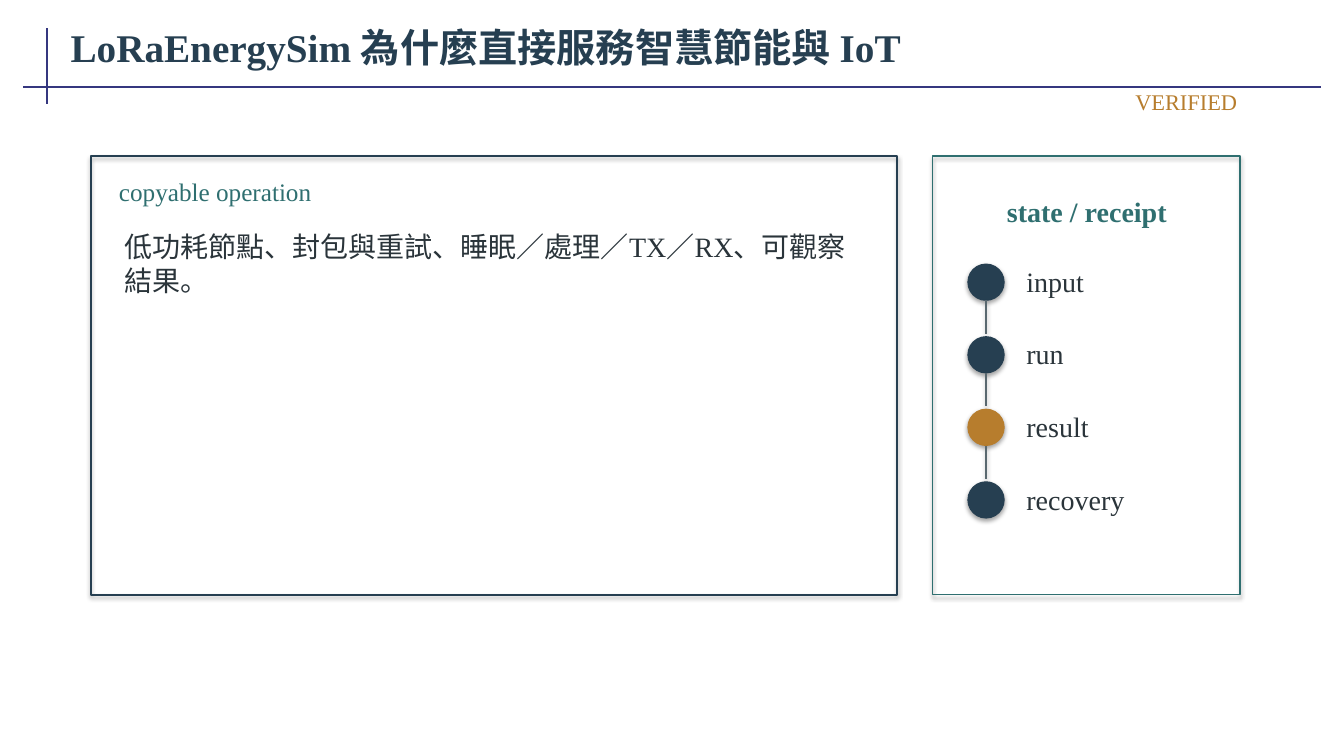
from pptx import Presentation
from pptx import util as u
from pptx.dml.color import RGBColor
from pptx.enum import shapes, text
from pptx.oxml.ns import qn
from lxml import etree

NAVY = RGBColor(0x26, 0x3F, 0x51)
TEAL = RGBColor(0x2F, 0x6F, 0x70)
GOLD = RGBColor(0xB7, 0x7D, 0x2D)
INK = RGBColor(0x2A, 0x34, 0x3A)
GRAY = RGBColor(0x59, 0x68, 0x6F)
INDIGO = RGBColor(0x35, 0x37, 0x7F)
PX = 9144
LEFT, MID, RIGHT = text.PP_ALIGN.LEFT, text.PP_ALIGN.CENTER, text.PP_ALIGN.RIGHT
GROW, FIXED = text.MSO_AUTO_SIZE.SHAPE_TO_FIT_TEXT, text.MSO_AUTO_SIZE.NONE

deck = Presentation()
deck.slide_width, deck.slide_height = 1333 * PX, 750 * PX
slide = deck.slides.add_slide(deck.slide_layouts[6])


def write(words, area, size, color, bold=False, align=LEFT, fit=GROW):
    frame = slide.shapes.add_textbox(*[n * PX for n in area]).text_frame
    frame.word_wrap = True
    frame.auto_size = fit
    frame.vertical_anchor = text.MSO_ANCHOR.MIDDLE
    frame.margin_left = frame.margin_right = 8 * PX
    frame.margin_top = frame.margin_bottom = 4 * PX
    para = frame.paragraphs[0]
    para.alignment = align
    run = para.add_run()
    run.text = words
    run.font.name = "Times New Roman"
    run.font.size = u.Pt(size)
    run.font.bold = bold
    run.font.color.rgb = color


def draw(ends, color, width):
    line = slide.shapes.add_connector(
        shapes.MSO_CONNECTOR.STRAIGHT, *[n * PX for n in ends])
    line.line.color.rgb = color
    line.line.width = u.Pt(width)
    return line


for ends in [(47, 28, 47, 103), (23, 86, 1310, 86)]:
    rule = draw(ends, INDIGO, 1.5)
    etree.SubElement(rule.element.spPr, qn("a:effectLst"))

write("LoRaEnergySim 為什麼直接服務智慧節能與 IoT",
      (62, 15, 1249, 62), 28, NAVY, bold=True, fit=FIXED)

for left, width, color, weight in [(90, 800, NAVY, 1.4), (925, 305, TEAL, 1.1)]:
    panel = slide.shapes.add_shape(
        shapes.MSO_SHAPE.RECTANGLE, left * PX, 155 * PX, width * PX, 435 * PX)
    panel.fill.background()
    panel.line.color.rgb = color
    panel.line.width = u.Pt(weight)

write("copyable operation", (110, 172, 760, 35), 18, TEAL)
write("低功耗節點、封包與重試、睡眠／處理／TX／RX、可觀察結果。",
      (115, 225, 735, 72), 20, INK)
write("state / receipt", (948, 182, 260, 55), 20, TEAL, bold=True, align=MID)

steps = [("input", NAVY), ("run", NAVY), ("result", GOLD), ("recovery", NAVY)]
for i, (name, color) in enumerate(steps):
    top = 262 + 72 * i
    dot = slide.shapes.add_shape(
        shapes.MSO_SHAPE.OVAL, 960 * PX, top * PX, 36 * PX, 36 * PX)
    dot.fill.solid()
    dot.fill.fore_color.rgb = color
    dot.line.color.rgb = color
    dot.line.width = u.Pt(0.75)
    write(name, (1010, top - 3, 185, 40), 20, INK)
    if i < len(steps) - 1:
        draw((978, top + 36, 978, top + 69), GRAY, 0.9)

write("VERIFIED", (915, 86, 320, 30), 16, GOLD, align=RIGHT)

deck.save("out.pptx")
